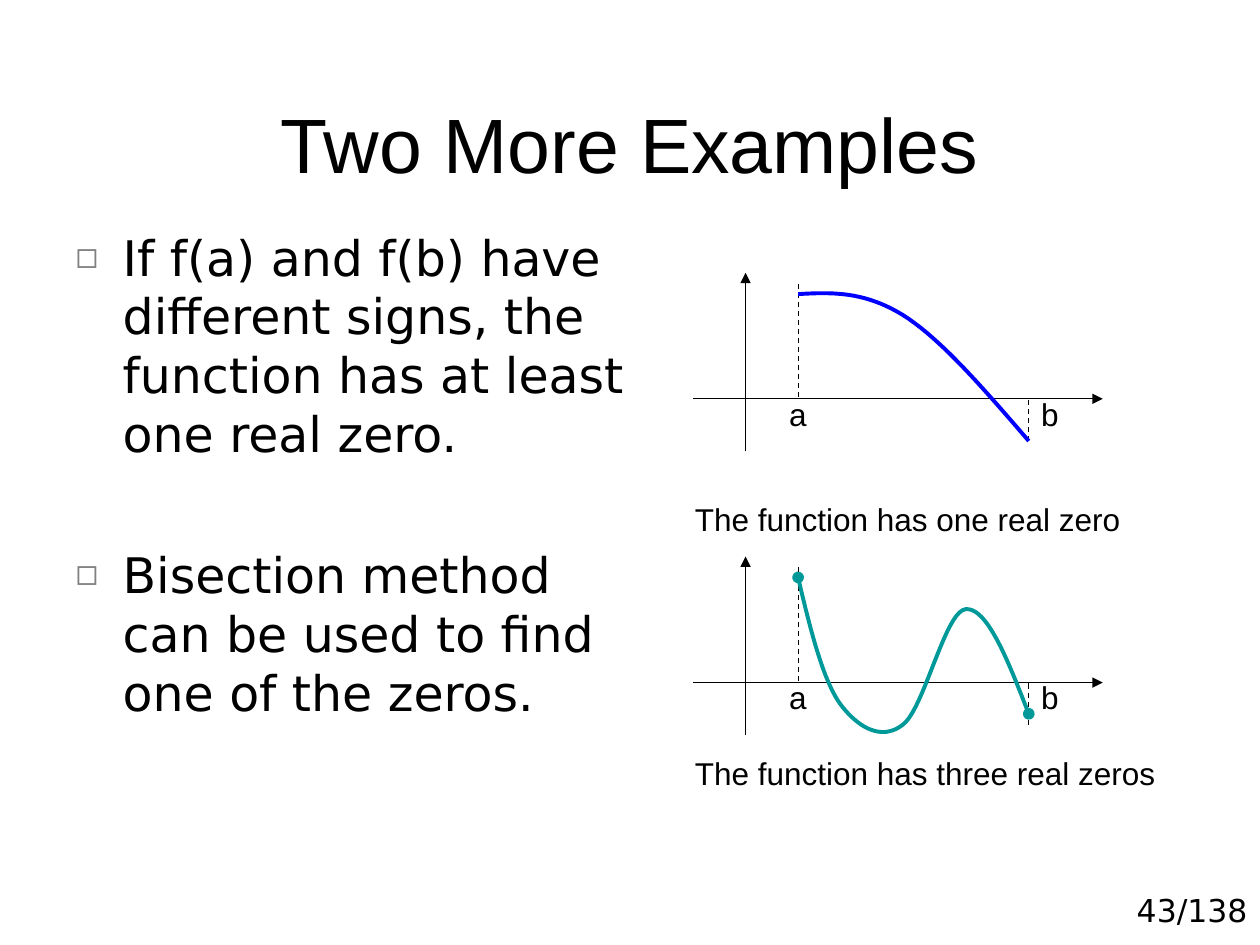
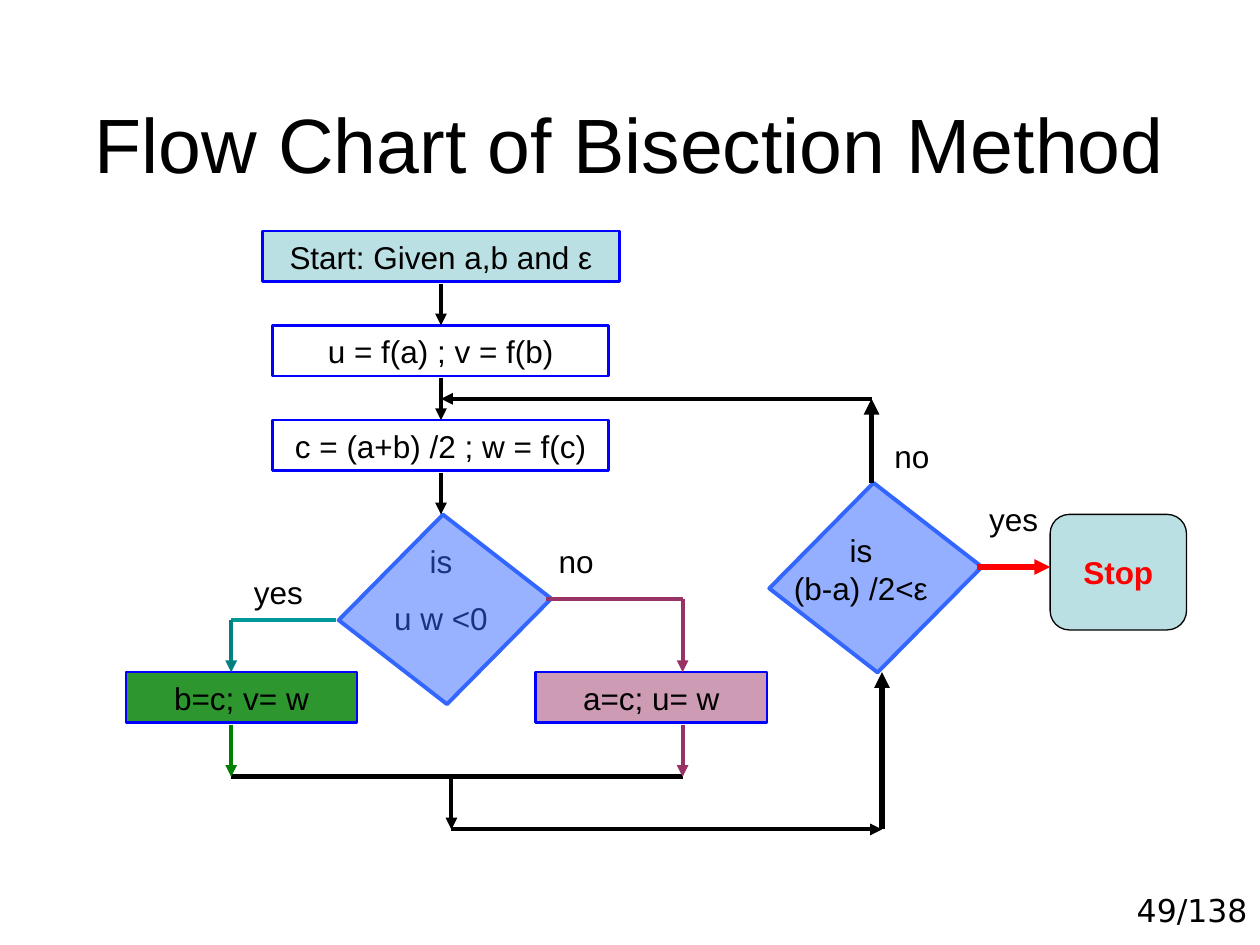
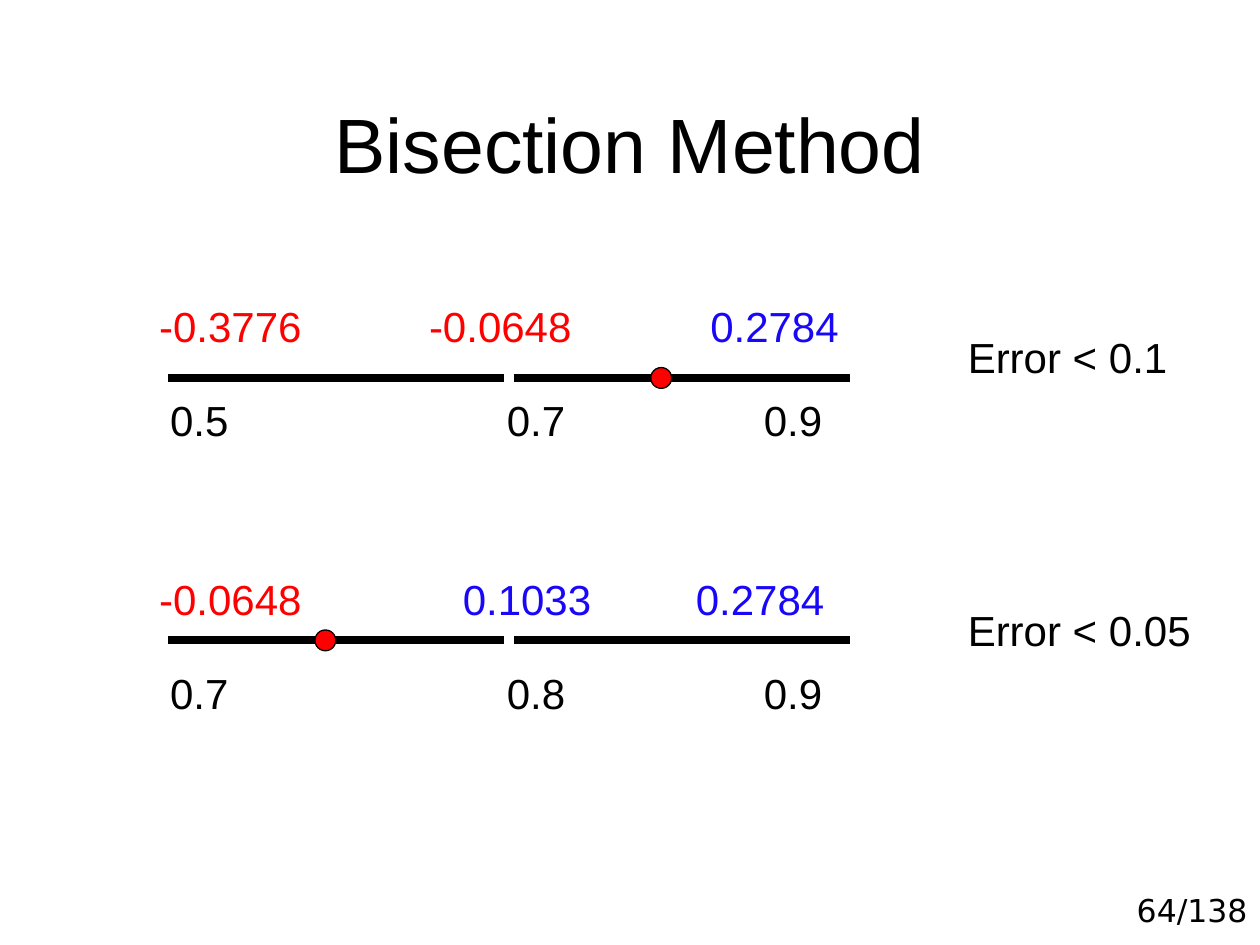
"""Build three slides on the bisection method: examples, flow chart and iterations."""
import lxml.etree
import pptx
import pptx.dml.color
import pptx.enum.dml
import pptx.enum.shapes
import pptx.enum.text
import pptx.oxml.ns
import pptx.util

Cm = pptx.util.Cm
Pt = pptx.util.Pt
RGBColor = pptx.dml.color.RGBColor
MSO_SHAPE = pptx.enum.shapes.MSO_SHAPE
PP_ALIGN = pptx.enum.text.PP_ALIGN
MSO_ANCHOR = pptx.enum.text.MSO_ANCHOR
qn = pptx.oxml.ns.qn
sub = lxml.etree.SubElement

BLACK = RGBColor(0x00, 0x00, 0x00)
RED = RGBColor(0xFF, 0x00, 0x00)
BLUE = RGBColor(0x00, 0x00, 0xFF)
VALUE_BLUE = RGBColor(0x19, 0x08, 0xF8)
DIAMOND_BLUE = RGBColor(0x33, 0x66, 0xFF)
PALE_TEAL = RGBColor(0xBB, 0xE0, 0xE3)
TEAL = RGBColor(0x00, 0x99, 0x99)
DARK_TEAL = RGBColor(0x00, 0x80, 0x80)
GREEN = RGBColor(0x00, 0x80, 0x00)
PLUM = RGBColor(0x99, 0x33, 0x66)
GREY = RGBColor(0x80, 0x80, 0x80)
SANS = "DejaVu Sans"


def write(sp, text, color=BLACK, size=18, name="Arial", bold=False, align=PP_ALIGN.LEFT, before=0):
    """Fill a shape with one paragraph per line and one run per tabbed part."""
    tf = sp.text_frame
    tf.word_wrap = True
    tf.auto_size = pptx.enum.text.MSO_AUTO_SIZE.NONE
    fmt = {"size": Pt(size), "name": name, "bold": bold}
    for i, row in enumerate(text.split("\n")):
        p = tf.add_paragraph() if i else tf.paragraphs[0]
        p.alignment = align
        p.space_before = Pt(before if i else 0)
        for j, part in enumerate(row.split("\t")):
            r = p.add_run()
            r.text = "\t" + part if j else part
            r.font.color.rgb = color
            for key, value in fmt.items():
                setattr(r.font, key, value)


def line(s, x1, y1, x2, y2, color=BLACK, width=0.75, arrow=False, dash=False):
    """Draw a straight line between two points given in centimetres."""
    sp = s.shapes.add_connector(pptx.enum.shapes.MSO_CONNECTOR.STRAIGHT, *map(Cm, (x1, y1, x2, y2)))
    sp.line.color.rgb = color
    sp.line.width = Pt(width)
    if dash:
        sp.line.dash_style = pptx.enum.dml.MSO_LINE.DASH
    if arrow:
        sub(sp.line._get_or_add_ln(), qn("a:tailEnd"), type="triangle")
    sub(sp._element.spPr, qn("a:effectLst"))


prs = pptx.Presentation()
prs.slide_width, prs.slide_height = Cm(25.4), Cm(19.05)

slides = []
for title, page, layout in (
    ("Two More Examples", "43/138", 1),
    ("Flow Chart of Bisection Method", "49/138", 5),
    ("Bisection Method", "64/138", 5),
):
    s = prs.slides.add_slide(prs.slide_layouts[layout])
    sp = s.shapes.title
    sp.left, sp.top, sp.width, sp.height = map(Cm, (1.27, 0.76, 22.86, 3.18))
    write(sp, title, size=44, align=PP_ALIGN.CENTER)
    sp.text_frame.vertical_anchor = MSO_ANCHOR.BOTTOM
    sp = s.shapes.add_textbox(*map(Cm, (21.39, 17.83, 4.01, 1.02)))
    write(sp, page, name=SANS, align=PP_ALIGN.RIGHT)
    slides.append(s)
examples, flow, steps = slides

sp = examples.placeholders[1]
sp.left, sp.top, sp.width, sp.height = map(Cm, (1.27, 4.45, 12.07, 11))
write(
    sp,
    "If f(a) and f(b) have different signs, the function has at least one real zero.\n"
    "Bisection method can be used to find one of the zeros.",
    size=28, name=SANS, before=47,
)
for p in sp.text_frame.paragraphs:
    pPr = p._p.get_or_add_pPr()
    pPr.set("marL", str(Cm(0.95)))
    pPr.set("indent", str(Cm(-0.95)))
    sub(sub(pPr, qn("a:buClr")), qn("a:srgbClr"), val=str(GREY))
    sub(pPr, qn("a:buSzPct"), val="75000")
    sub(pPr, qn("a:buChar"), char="◻")

one_zero = [
    (16.09, 5.93), (16.76, 5.89), (17.42, 5.87), (18.2, 6.35),
    (18.97, 6.83), (19.86, 7.87), (20.74, 8.89),
]
three_zeros = [
    (16.09, 11.64), (16.33, 12.67), (16.59, 13.7), (16.93, 14.18),
    (17.3, 14.68), (17.78, 14.94), (18.2, 14.61),
    (18.63, 14.3), (19.05, 12.32), (19.47, 12.28),
    (19.9, 12.24), (20.32, 13.31), (20.74, 14.39),
]
for axis, curve, color, ends, caption, caption_top in (
    (8.04, one_zero, BLUE, None, "The function has one real zero", 9.95),
    (13.76, three_zeros, TEAL, "oval", "The function has three real zeros", 15.07),
):
    line(examples, 13.97, axis, 22.23, axis, arrow=True)
    line(examples, 15.03, axis + 1.06, 15.03, axis - 2.54, arrow=True)
    line(examples, 16.09, axis - 2.32, 16.09, axis, dash=True)
    line(examples, 20.74, axis + 0.85, 20.74, axis, dash=True)
    for text, left in (("a", 15.03), ("b", 20.11)):
        sp = examples.shapes.add_textbox(*map(Cm, (left, axis - 0.21, 1.48, 1.02)))
        write(sp, text, align=PP_ALIGN.RIGHT)

    points = []
    for i in range(0, len(curve) - 1, 3):
        for step in range(1, 21):
            t = step / 20
            weights = ((1 - t) ** 3, 3 * t * (1 - t) ** 2, 3 * t * t * (1 - t), t ** 3)
            points.append([
                Cm(sum(w * pt[k] for w, pt in zip(weights, curve[i:i + 4]))) for k in (0, 1)
            ])
    fb = examples.shapes.build_freeform(*map(Cm, curve[0]))
    fb.add_line_segments(points, close=False)
    sp = fb.convert_to_shape()
    sp.shadow.inherit = False
    sp.fill.background()
    sp.line.color.rgb = color
    sp.line.width = Pt(2.25)
    if ends:
        for tag in ("a:headEnd", "a:tailEnd"):
            sub(sp.line._get_or_add_ln(), qn(tag), type=ends)

    sp = examples.shapes.add_textbox(*map(Cm, (13.76, caption_top, 9.95, 1.02)))
    write(sp, caption)

sp = flow.shapes.add_textbox(*map(Cm, (7.62, 10.8, 2.54, 2.18)))
write(sp, "is\nu w <0", align=PP_ALIGN.CENTER, before=11.2)

RECT, ROUND, DIAMOND = MSO_SHAPE.RECTANGLE, MSO_SHAPE.ROUNDED_RECTANGLE, MSO_SHAPE.PARALLELOGRAM
for kind, box, text, fill, alpha, edge, width in (
    (RECT, (5.29, 4.66, 7.2, 1.02), "Start: Given a,b and ε", PALE_TEAL, 100, BLUE, 1.5),
    (RECT, (5.5, 6.56, 6.77, 1.02), "u = f(a) ; v = f(b)", None, 100, BLUE, 1.5),
    (RECT, (5.5, 8.47, 6.77, 1.02), "c = (a+b) /2 ; w = f(c)", None, 100, BLUE, 1.5),
    (RECT, (10.8, 13.55, 4.66, 1.02), "a=c; u= w", PLUM, 49, BLUE, 1.5),
    (RECT, (2.54, 13.55, 4.66, 1.02), "b=c; v= w", GREEN, 82, BLUE, 1.5),
    (ROUND, (21.17, 10.37, 2.75, 2.33), "Stop", PALE_TEAL, 100, BLACK, 0.75),
    (DIAMOND, (16.09, 10.16, 3.12, 2.97), "", DIAMOND_BLUE, 52, DIAMOND_BLUE, 2.25),
    (DIAMOND, (7.41, 10.8, 3.12, 2.97), "", DIAMOND_BLUE, 50, DIAMOND_BLUE, 2.25),
):
    sp = flow.shapes.add_shape(kind, *map(Cm, box))
    sp.shadow.inherit = False
    if fill is None:
        sp.fill.background()
    else:
        sp.fill.solid()
        sp.fill.fore_color.rgb = fill
        if alpha < 100:
            clr = sp._element.spPr.find(qn("a:solidFill")).find(qn("a:srgbClr"))
            sub(clr, qn("a:alpha"), val=str(alpha * 1000))
    sp.line.color.rgb = edge
    sp.line.width = Pt(width)
    if kind == DIAMOND:
        sp.adjustments[0] = 0.12
        sp.rotation = 37.8
    if text:
        stop = kind == ROUND
        write(sp, text, color=RED if stop else BLACK, bold=stop, align=PP_ALIGN.CENTER)
        sp.text_frame.vertical_anchor = MSO_ANCHOR.MIDDLE

for x1, y1, x2, y2, color, width, arrow in (
    (8.89, 5.72, 8.89, 6.56, BLACK, 2.25, True),
    (8.89, 7.62, 8.89, 8.47, BLACK, 2.25, True),
    (8.89, 9.53, 8.89, 10.37, BLACK, 2.25, True),
    (11.01, 12.07, 13.76, 12.07, PLUM, 2.25, False),
    (13.76, 12.07, 13.76, 13.55, PLUM, 2.25, True),
    (6.77, 12.49, 4.66, 12.49, TEAL, 2.25, False),
    (4.66, 12.49, 4.66, 13.55, DARK_TEAL, 2.25, True),
    (4.66, 15.66, 13.76, 15.66, BLACK, 3, False),
    (4.66, 14.61, 4.66, 15.66, GREEN, 2.25, True),
    (13.76, 14.61, 13.76, 15.66, PLUM, 2.25, True),
    (9.1, 15.66, 9.1, 16.72, BLACK, 2.25, True),
    (9.1, 16.72, 17.78, 16.72, BLACK, 2.25, True),
    (17.78, 16.72, 17.78, 13.55, BLACK, 3, True),
    (17.57, 9.74, 17.57, 8.04, BLACK, 3, True),
    (17.57, 8.04, 8.89, 8.04, BLACK, 2.25, True),
    (19.69, 11.43, 21.17, 11.43, RED, 3, True),
):
    line(flow, x1, y1, x2, y2, color, width, arrow)

sp = flow.shapes.add_textbox(*map(Cm, (15.66, 10.58, 3.39, 1.78)))
write(sp, "is\n(b-a) /2<ε", align=PP_ALIGN.CENTER)
for text, left, top in (
    ("yes", 4.87, 11.43), ("yes", 19.69, 9.95), ("no", 11.01, 10.8), ("no", 17.78, 8.68),
):
    sp = flow.shapes.add_textbox(*map(Cm, (left, top, 2.75, 1.02)))
    write(sp, text)

for top, bar, dot, values, value_tabs, ends, error in (
    (5.93, 7.62, 13.12, "-0.3776\t-0.0648\t0.2784", (5.44, 11.11), "0.5\t0.7\t0.9", "Error < 0.1"),
    (11.43, 12.91, 6.35, "-0.0648\t0.1033\t0.2784", (6.12, 10.82), "0.7\t0.8\t0.9", "Error < 0.05"),
):
    for text, left, y, width, tabs in (
        (values, 2.96, top, 15.24, value_tabs),
        (ends, 3.18, top + 1.9, 14.19, (6.79, 11.97)),
        (error, 19.26, top + 0.63, 5.51, ()),
    ):
        sp = steps.shapes.add_textbox(*map(Cm, (left, y, width, 1.27)))
        write(sp, text, size=24)
        p = sp.text_frame.paragraphs[0]
        if tabs:
            tab_list = sub(p._p.get_or_add_pPr(), qn("a:tabLst"))
            for pos in tabs:
                sub(tab_list, qn("a:tab"), pos=str(Cm(pos)), algn="l")
        if text == values:
            for r in p.runs:
                r.font.color.rgb = RED if "-" in r.text else VALUE_BLUE
    for left in (3.39, 10.37):
        line(steps, left, bar, left + 6.77, bar, width=4.5)
    sp = steps.shapes.add_shape(MSO_SHAPE.OVAL, *map(Cm, (dot, bar - 0.21, 0.42, 0.42)))
    sp.shadow.inherit = False
    sp.fill.solid()
    sp.fill.fore_color.rgb = RED
    sp.line.color.rgb = BLACK
    sp.line.width = Pt(0.75)

prs.save("out.pptx")
